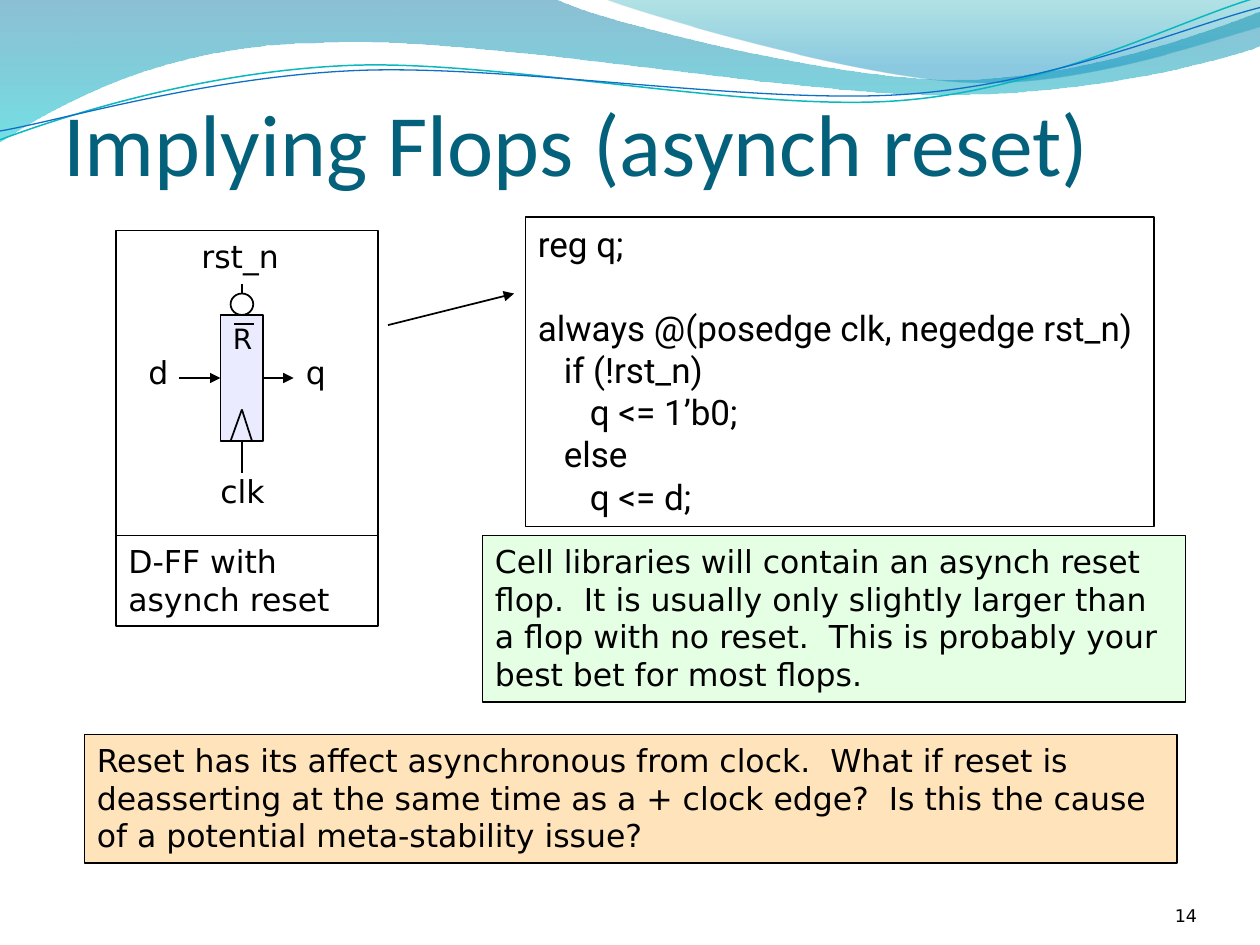
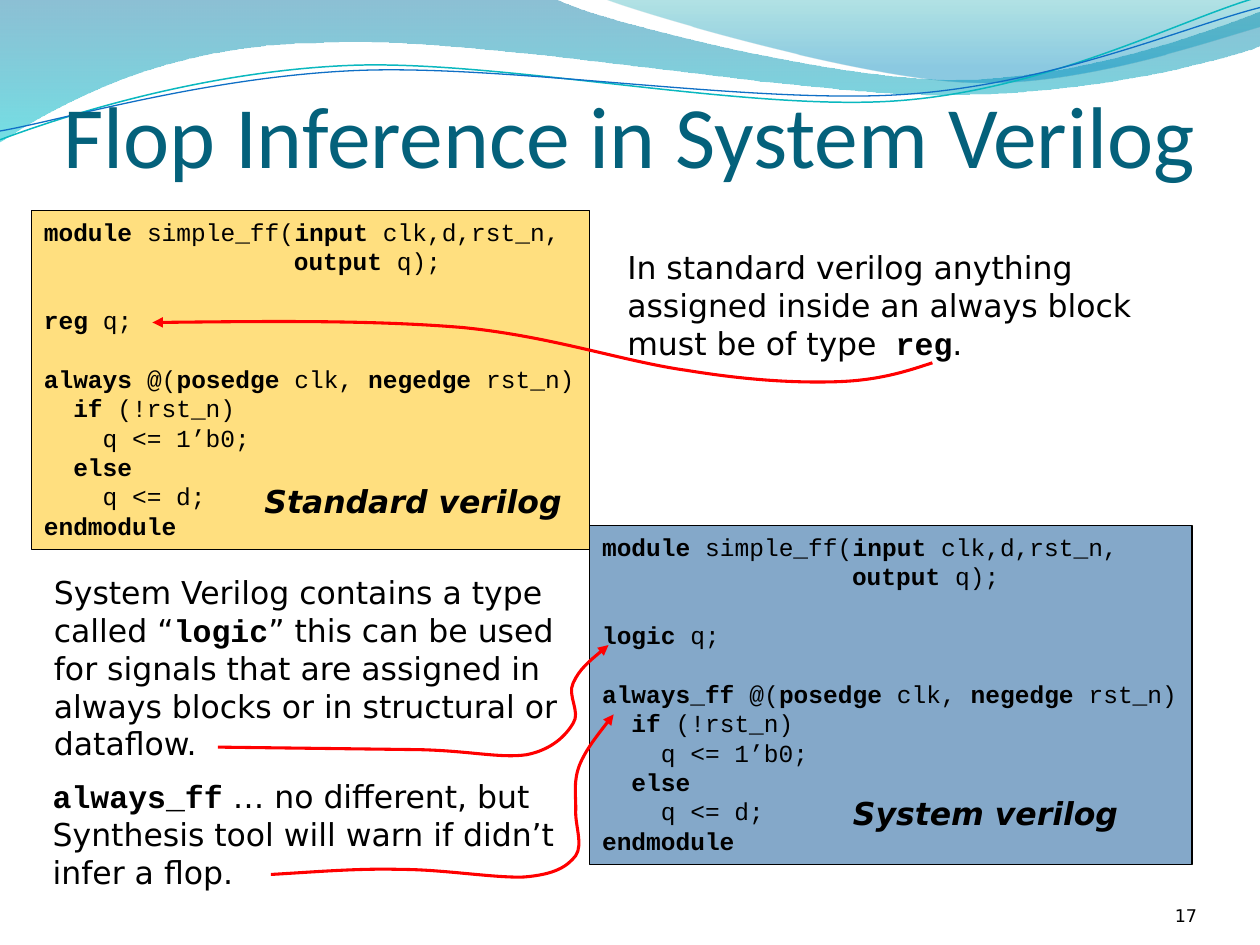
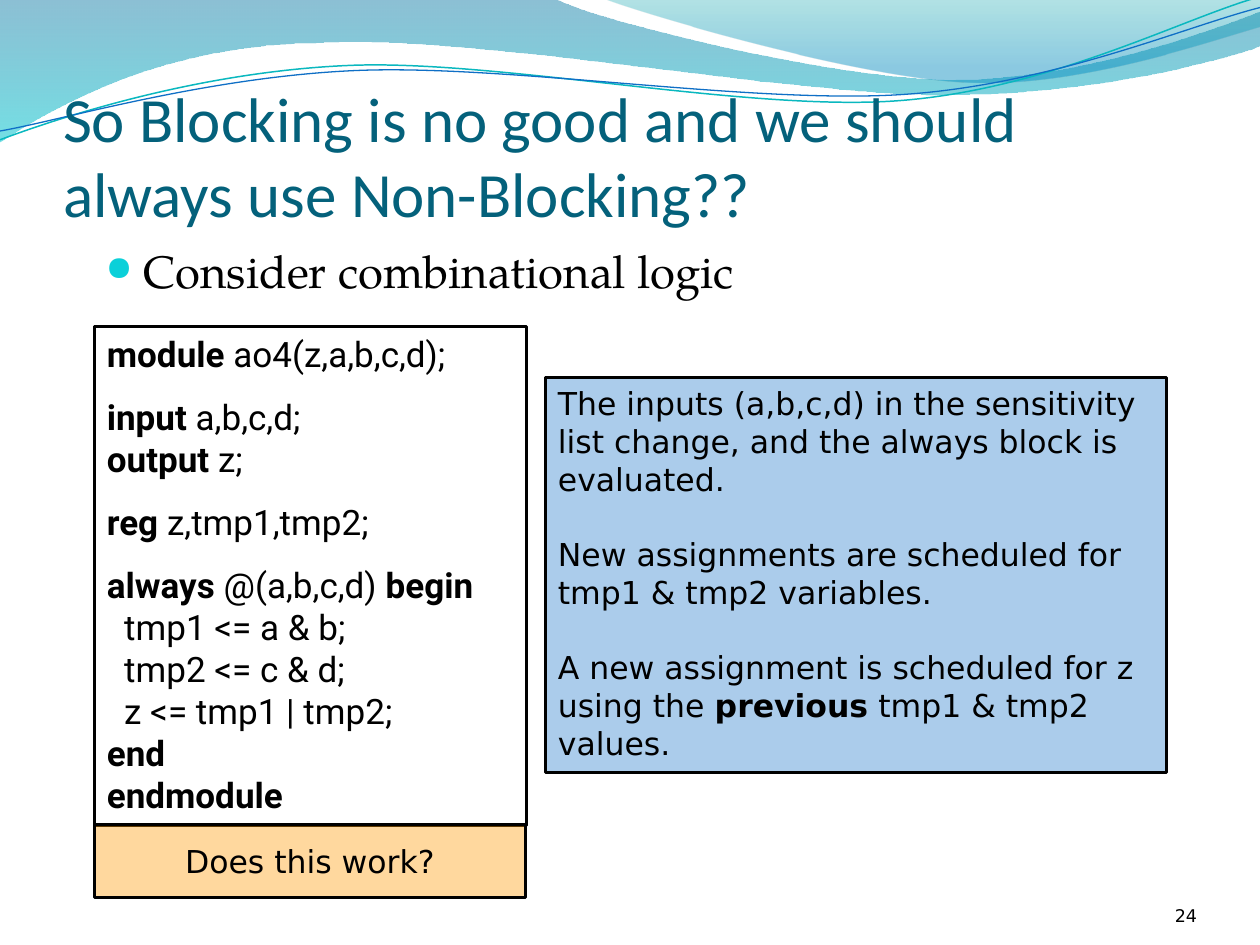
from lxml import etree
from pptx import Presentation
from pptx.dml.color import RGBColor
from pptx.enum import shapes, text
from pptx.oxml.ns import qn
from pptx.util import Inches, Pt

# Shared style
BLACK = RGBColor(0x00, 0x00, 0x00)
TITLE_TEAL = RGBColor(0x04, 0x61, 0x7B)
BULLET_CYAN = RGBColor(0x0B, 0xD0, 0xD9)
WAVE_TEAL = RGBColor(0x0A, 0xB8, 0xBF)
BLUE = RGBColor(0x0F, 0x6F, 0xC6)
DEEP_BLUE = RGBColor(0x0B, 0x53, 0x94)
BAND_BLUE = RGBColor(0x00, 0x74, 0xA1)
BAND_AQUA = RGBColor(0x00, 0xC6, 0xCF)
BAND_GREEN = RGBColor(0x00, 0xA1, 0xA9)
BAND_SKY = RGBColor(0x00, 0x8B, 0xBF)
LILAC = RGBColor(0x69, 0x69, 0xFF)
GREEN = RGBColor(0x00, 0xFF, 0x00)
ORANGE = RGBColor(0xFF, 0x99, 0x00)
AMBER = RGBColor(0xFF, 0xC0, 0x00)
RED = RGBColor(0xFF, 0x00, 0x00)

SANS, MONO, CODE = "DejaVu Sans", "Courier New", "Roboto"
HEAD, SERIF = "Calibri", "TeX Gyre Pagella"
SPACE_WIDTH = {MONO: 0.1167, CODE: 0.0687}  # inches, at the code size used

# Wave at the top: start point, then cubic segments (6 numbers) or lines (2)
BANDS = [
    ([(0, -0.01), (4.4, -0.01), (4.76, 0.17, 6.64, 0.63, 7.58, 0.63),
      (8.53, 0.63, 9.58, 0.26, 10, 0.09), (10.01, 0.36),
      (9.83, 0.44, 8.7, 0.76, 7.46, 0.75), (6.22, 0.75, 3.82, 0.28, 2.57, 0.34),
      (1.29, 0.35, 0.46, 0.83, -0.01, 1.13), (0, -0.01)],
     [(0, BAND_BLUE, 45), (1, BAND_AQUA, 55)]),
    ([(4.79, -0.01), (5.09, 0.11, 6.82, 0.62, 7.69, 0.65),
      (8.56, 0.69, 9.61, 0.32, 10, 0.21), (10, 0), (4.79, -0.01)],
     [(0, BAND_GREEN, 30), (0.8, BAND_SKY, 45)]),
]
WAVES = [
    ([(0, 1.11), (0.48, 0.93, 1.58, 0.57, 2.77, 0.52),
      (3.95, 0.47, 5.93, 0.89, 7.13, 0.8), (8.33, 0.71, 9.38, 0.15, 9.98, -0.02)],
     WAVE_TEAL, 0.85),
    ([(0, 1.04), (0.47, 0.96, 1.64, 0.61, 2.83, 0.56),
      (4.03, 0.51, 5.97, 0.83, 7.17, 0.75), (8.36, 0.67, 9.41, 0.21, 10, 0.06)],
     BLUE, 0.75),
]

# Content: *...* is bold, leading spaces indent a line, "" leaves a gap
TITLES = [
    ("Implying Flops (asynch reset)", 0.29, 50, 14),
    ("Flop Inference in System Verilog", 0.23, 50, 17),
    ("So Blocking is no good and we should always use Non-Blocking??", 0.58, 36, 24),
]
FLOP_LABELS = [("clk", 1.65, 3.7, 0.55, 18), ("d", 1.08, 2.75, 0.36, 18),
               ("q", 2.33, 2.75, 0.36, 18), ("R", 1.75, 2.5, 0.36, 16),
               ("rst_n", 1.5, 1.83, 0.85, 18)]
RESET_CODE = ["reg q;", "", "always @(posedge clk, negedge rst_n)", "   if (!rst_n)",
              "      q <= 1’b0;", "   else", "      q <= d;"]
LIBRARY_NOTE = ["Cell libraries will contain an asynch reset flop.  It is usually only "
                "slightly larger than a flop with no reset.  This is probably your best "
                "bet for most flops."]
RESET_QUESTION = ["Reset has its affect asynchronous from clock.  What if reset is "
                  "deasserting at the same time as a + clock edge?  Is this the cause "
                  "of a potential meta-stability issue?"]

# (data type, always keyword, box, fill, caption, caption place)
MODULES = [
    ("reg", "always", (0.25, 1.67, 4.43, 2.69), AMBER, "Standard verilog", (2, 3.78, 2.56, 0.4)),
    ("logic", "always_ff", (4.68, 4.17, 4.78, 2.69), DEEP_BLUE, "System verilog",
     (6.67, 6.25, 2.31, 0.4)),
]
TYPE_NOTES = [
    (["In standard verilog anything assigned inside an always block must be of type* reg*."],
     (4.88, 1.92, 4.58, 1.01)),
    (["System Verilog contains a type called “*logic*” this can be used for signals that "
      "are assigned in always blocks or in structural or dataflow."], (0.33, 4.5, 4.27, 1.62)),
    (["*always_ff* … no different, but", "Synthesis tool will warn if didn’t",
      "infer a flop."], (0.32, 6.12, 4.26, 1.31)),
]
NOTE_ARROWS = [
    [(7.4, 2.88), (7.19, 2.95, 6.97, 3.02, 6.64, 3.03), (6.32, 3.04, 5.94, 3.02, 5.45, 2.94),
     (4.95, 2.87, 4.38, 2.67, 3.67, 2.6), (2.96, 2.54, 2.09, 2.55, 1.21, 2.56)],
    [(1.73, 5.93), (3.33, 5.95), (3.74, 5.96, 3.97, 6.02, 4.18, 5.99),
     (4.38, 5.95, 4.49, 5.84, 4.55, 5.74), (4.61, 5.65, 4.5, 5.52, 4.55, 5.42),
     (4.6, 5.31, 4.71, 5.22, 4.83, 5.12)],
    [(2.15, 6.94), (2.5, 6.92, 2.84, 6.89, 3.18, 6.9), (3.52, 6.9, 3.93, 6.97, 4.16, 6.96),
     (4.4, 6.94, 4.5, 6.88, 4.57, 6.79), (4.63, 6.7, 4.56, 6.54, 4.57, 6.42),
     (4.57, 6.3, 4.55, 6.2, 4.6, 6.07), (4.65, 5.95, 4.76, 5.81, 4.87, 5.67)],
]
AO4_CODE = ["*module* ao4(z,a,b,c,d);", "", "*input* a,b,c,d;", "*output* z;", "",
            "*reg* z,tmp1,tmp2;", "", "*always* @(a,b,c,d) *begin*", "  tmp1 <= a & b;",
            "  tmp2 <= c & d;", "  z <= tmp1 | tmp2;", "*end*", "*endmodule*"]
SCHEDULING = ["The inputs (a,b,c,d) in the sensitivity list change, and the always block is "
              "evaluated.", "", "New assignments are scheduled for tmp1 & tmp2 variables.", "",
              "A new assignment is scheduled for z using the *previous* tmp1 & tmp2 values."]


# Text
def write(tf, lines, size=18, font=SANS, bold_font=None, gap=0, align=None,
          wrap=True, color=BLACK, **run_format):
    tf.word_wrap = wrap
    tf.auto_size = text.MSO_AUTO_SIZE.NONE
    p, before = tf.paragraphs[0], 0
    for n, line in enumerate(lines):
        if not line:
            before = gap
            continue
        if n:
            p = tf.add_paragraph()
        p.alignment = align or text.PP_ALIGN.LEFT
        if before:
            p.space_before, before = Pt(before), 0
        body = line.lstrip()
        if body != line:
            indent = (len(line) - len(body)) * SPACE_WIDTH[font]
            p._p.get_or_add_pPr().set("marL", str(Inches(indent)))
        for i, part in enumerate(body.split("*")):
            if part:
                r = p.add_run()
                r.text = part
                bold = i % 2 == 1
                values = dict(size=Pt(size), name=bold_font if bold and bold_font else font,
                              bold=bold, **run_format)
                for key, value in values.items():
                    setattr(r.font, key, value)
                r.font.color.rgb = color


def set_insets(tf, left, top, right, bottom):
    for side, value in zip(("left", "top", "right", "bottom"), (left, top, right, bottom)):
        setattr(tf, "margin_" + side, Inches(value))


def label(s, lines, at, wrap=False, **style):
    tb = s.shapes.add_textbox(*map(Inches, at))
    write(tb.text_frame, lines, wrap=wrap, **style)
    return tb


# Shapes and lines
def set_alpha(parent, percent):
    for color in parent.iter(qn("a:srgbClr")):
        etree.SubElement(color, qn("a:alpha")).set("val", str(percent * 1000))


def box(s, at, fill=None, alpha=100, width=1, lines=(), kind=shapes.MSO_SHAPE.RECTANGLE,
        anchor=text.MSO_ANCHOR.TOP, **style):
    sp = s.shapes.add_shape(kind, *map(Inches, at))
    sp.shadow.inherit = False
    if fill is None:
        sp.fill.background()
    else:
        sp.fill.solid()
        sp.fill.fore_color.rgb = fill
        set_alpha(sp._element.spPr, alpha)
    sp.line.color.rgb = BLACK
    sp.line.width = Pt(width)
    if lines:
        sp.text_frame.vertical_anchor = anchor
        write(sp.text_frame, lines, **style)
    return sp


def add_arrowhead(shape):
    etree.SubElement(shape.line._get_or_add_ln(), qn("a:tailEnd")).set("type", "triangle")


def line(s, start, end, arrow=False, begin=None, finish=None):
    c = s.shapes.add_connector(shapes.MSO_CONNECTOR.STRAIGHT, *map(Inches, start + end))
    if begin:
        c.begin_connect(*begin)
    if finish:
        c.end_connect(*finish)
    c.line.color.rgb = BLACK
    c.line.width = Pt(1)
    if arrow:
        add_arrowhead(c)
    etree.SubElement(c._element.spPr, qn("a:effectLst"))


def outline(s, route, close=False):
    """Build a freeform through the segment ends, then bend its cubic segments."""
    ends = [tuple(map(Inches, seg[-2:])) for seg in route]
    builder = s.shapes.build_freeform(*ends[0])
    builder.add_line_segments(ends[1:], close=close)
    sp = builder.convert_to_shape()
    sp.shadow.inherit = False
    straight = list(sp._element.spPr.iter(qn("a:lnTo")))
    for seg, element in zip(route[1:], straight):
        if len(seg) == 6:
            cubic = etree.Element(qn("a:cubicBezTo"))
            for x, y in zip(seg[::2], seg[1::2]):
                pt = etree.SubElement(cubic, qn("a:pt"))
                pt.set("x", str(Inches(x) - sp.left))
                pt.set("y", str(Inches(y) - sp.top))
            element.getparent().replace(element, cubic)
    return sp


def curve(s, route, color, width, arrow=False):
    sp = outline(s, route)
    sp.fill.background()
    sp.line.color.rgb = color
    sp.line.width = Pt(width)
    if arrow:
        add_arrowhead(sp)
    return sp


def gradient_band(s, route, stops):
    sp = outline(s, route, close=True)
    sp.line.fill.background()
    sp.fill.gradient()
    sp.fill.gradient_angle = 270
    for stop, (position, color, alpha) in zip(sp.fill.gradient_stops, stops):
        stop.position = position
        stop.color.rgb = color
        set_alpha(stop._gs, alpha)
    return sp


# Shared slide parts
def decorate_layout(s):
    """Draw the wave on a slide, then move it to the slide's layout."""
    parts = [gradient_band(s, *band) for band in BANDS]
    parts += [curve(s, *wave) for wave in WAVES]
    for i, sp in enumerate(parts):
        s.slide_layout.shapes._spTree.insert(2 + i, sp._element)


def new_slide(prs, title, top, size, number):
    s = prs.slides.add_slide(prs.slide_layouts[5])
    head = s.shapes.title
    head.left, head.top, head.width, head.height = map(Inches, (0.5, top, 9, 1.25))
    page = s.shapes.add_textbox(*map(Inches, (8.67, 6.95, 0.83, 0.4)))
    for sp, top_inset in ((head, 0.05), (page, 0)):
        set_insets(sp.text_frame, 0, top_inset, 0, 0)
        sp.text_frame.vertical_anchor = text.MSO_ANCHOR.BOTTOM
    write(head.text_frame, [title], size=size, font=HEAD, color=TITLE_TEAL)
    write(page.text_frame, [str(number)], size=10, align=text.PP_ALIGN.RIGHT)
    return s


# Slides
def fill_reset_slide(s):
    flop = box(s, (1.75, 2.5, 0.34, 1), LILAC, 13)
    for x in (1.83, 2):
        line(s, (1.92, 3.25), (x, 3.5))
    line(s, (1.92, 3.5), (1.92, 3.75), begin=(flop, 2))
    line(s, (1.42, 3), (1.75, 3), arrow=True, finish=(flop, 1))
    line(s, (2.09, 3), (2.33, 3), arrow=True, begin=(flop, 3))
    for name, x, y, width, size in FLOP_LABELS:
        label(s, [name], (x, y, width, 0.4), size=size)
    box(s, (0.92, 1.83, 2.08, 2.42))
    box(s, (0.92, 4.25, 2.08, 0.72), lines=["D-FF with asynch reset"])
    bubble = box(s, (1.83, 2.33, 0.18, 0.17), kind=shapes.MSO_SHAPE.OVAL)
    line(s, (1.92, 2.33), (1.92, 2.25), begin=(bubble, 0))
    line(s, (1.86, 2.57), (2.02, 2.57))
    box(s, (4.17, 1.72, 4.99, 2.46), lines=RESET_CODE, size=20, font=CODE, gap=24)
    line(s, (3.08, 2.58), (4.08, 2.33), arrow=True)
    box(s, (3.83, 4.25, 5.58, 1.32), GREEN, 10, lines=LIBRARY_NOTE)
    box(s, (0.67, 5.83, 8.67, 1.02), ORANGE, 27, lines=RESET_QUESTION)


def fill_inference_slide(s):
    for kind, always, at, fill, caption, caption_at in MODULES:
        code = ["*module* simple_ff(*input* clk,d,rst_n,", " " * 17 + "*output* q);", "",
                f"*{kind}* q;", "", f"*{always}* @(*posedge* clk, *negedge* rst_n)",
                "  *if* (!rst_n)", "    q <= 1’b0;", "  *else*", "    q <= d;", "*endmodule*"]
        box(s, at, fill, 50, 0.75, code, size=14, font=MONO, gap=16.8, wrap=False)
        label(s, [f"*{caption}*"], caption_at, italic=True)
    for lines, at in TYPE_NOTES:
        label(s, lines, at, wrap=True, bold_font=MONO)
    for route in NOTE_ARROWS:
        curve(s, route, RED, 1.75, arrow=True)


def fill_blocking_slide(s):
    point = label(s, ["Consider combinational logic"], (0.74, 1.88, 9, 0.67), wrap=True,
                  size=26, font=SERIF)
    pPr = point.text_frame.paragraphs[0]._p.get_or_add_pPr()
    pPr.set("marL", str(Inches(0.3)))
    pPr.set("indent", str(Inches(-0.3)))
    color = etree.SubElement(pPr, qn("a:buClr"))
    etree.SubElement(color, qn("a:srgbClr")).set("val", str(BULLET_CYAN))
    etree.SubElement(pPr, qn("a:buSzPct")).set("val", "75000")
    etree.SubElement(pPr, qn("a:buChar")).set("char", "●")
    box(s, (0.75, 2.59, 3.43, 3.96), width=1.75, lines=AO4_CODE, size=20, font=CODE, gap=12)
    box(s, (0.75, 6.54, 3.42, 0.58), ORANGE, 38, 1.75, ["Does this work?"],
        anchor=text.MSO_ANCHOR.MIDDLE, align=text.PP_ALIGN.CENTER)
    box(s, (4.33, 3, 4.93, 3.13), BLUE, 35, 1.75, SCHEDULING, gap=21.5)


def main():
    prs = Presentation()
    prs.slide_width, prs.slide_height = Inches(10), Inches(7.5)
    fillers = (fill_reset_slide, fill_inference_slide, fill_blocking_slide)
    for i, (heading, fill) in enumerate(zip(TITLES, fillers)):
        s = new_slide(prs, *heading)
        if i == 0:
            decorate_layout(s)
        fill(s)
    prs.save("out.pptx")


if __name__ == "__main__":
    main()
